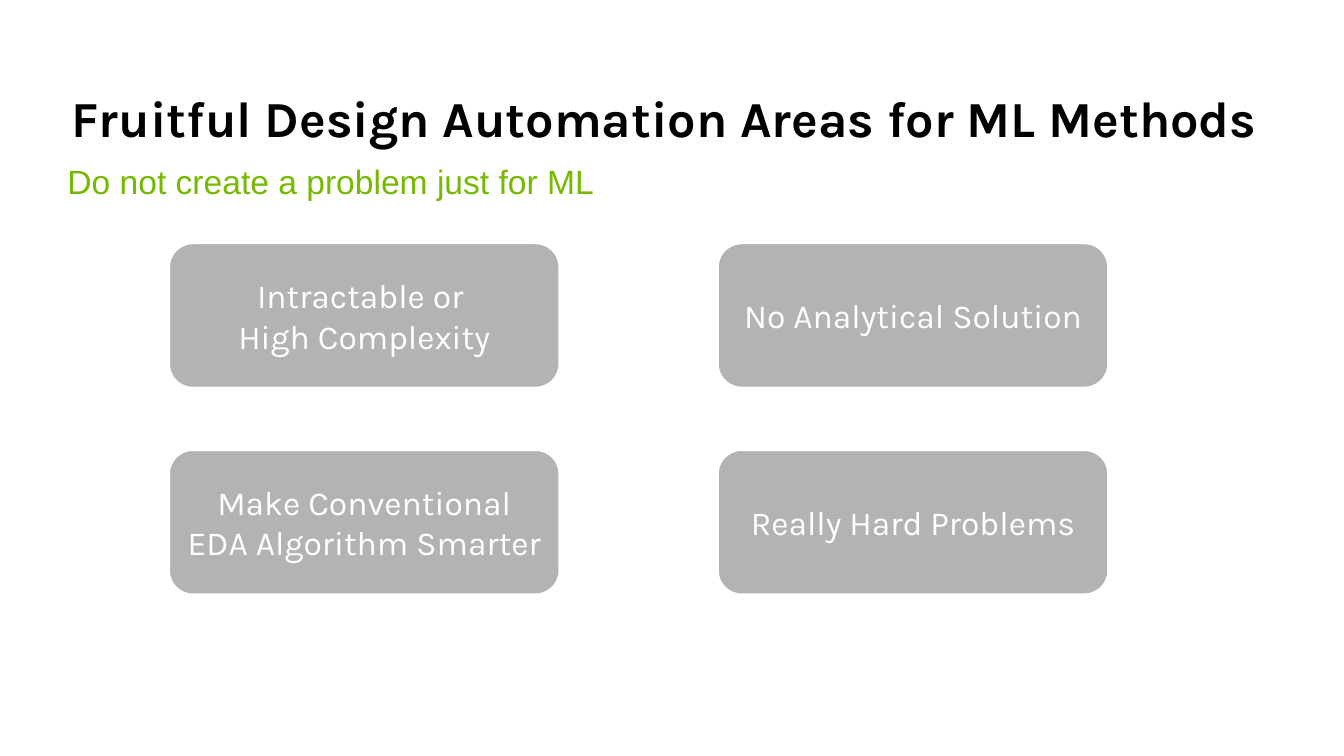
from pptx import Presentation
from pptx.dml.color import RGBColor
from pptx.enum.shapes import MSO_SHAPE
from pptx.enum.text import MSO_ANCHOR, PP_ALIGN
from pptx.util import Cm, Pt

ROUNDED = MSO_SHAPE.ROUNDED_RECTANGLE
TOP, MIDDLE, BOTTOM = MSO_ANCHOR.TOP, MSO_ANCHOR.MIDDLE, MSO_ANCHOR.BOTTOM
LEFT, CENTER = PP_ALIGN.LEFT, PP_ALIGN.CENTER

BLACK = RGBColor(0x00, 0x00, 0x00)
WHITE = RGBColor(0xFF, 0xFF, 0xFF)
GREEN = RGBColor(0x76, 0xB9, 0x00)
GRAY = RGBColor(0xB3, 0xB3, 0xB3)

# Content: a row of areas per line, each area a list of text lines
TITLE = ["Fruitful Design Automation Areas for ML Methods"]
SUBTITLE = ["Do not create a problem just for ML"]
AREAS = [
    [["Intractable or ", "High Complexity"], ["No Analytical Solution"]],
    [["Make Conventional EDA Algorithm Smarter"], ["Really Hard Problems"]],
]

# Layout in centimetres
HEADING_WIDTH = 30.78
GRID_LEFT, GRID_TOP = 4.25, 6.12
COLUMN_STEP, ROW_STEP = 13.83, 5.21
AREA_WIDTH, AREA_HEIGHT = 9.86, 3.66


def write(box, lines, font, size, color, anchor, align, bold=False, spacing=1.0):
    frame = box.text_frame
    frame.word_wrap = True
    frame.vertical_anchor = anchor
    para = frame.paragraphs[0]
    para.alignment = align
    para.line_spacing = spacing
    for index, line in enumerate(lines):
        if index:
            para.add_line_break()
        span = para.add_run()
        span.text = line
        span.font.name = font
        span.font.size = Pt(size)
        span.font.bold = bold
        span.font.color.rgb = color


deck = Presentation()
deck.slide_width, deck.slide_height = Cm(33.87), Cm(19.05)
page = deck.slides.add_slide(deck.slide_layouts[6])
page.background.fill.solid()
page.background.fill.fore_color.rgb = WHITE

# Headings
title = page.shapes.add_textbox(Cm(1.55), Cm(2.06), Cm(HEADING_WIDTH), Cm(1.8))
write(title, TITLE, "Karla", 36, BLACK, BOTTOM, LEFT, bold=True, spacing=0.9)
subtitle = page.shapes.add_textbox(Cm(1.45), Cm(4.04), Cm(HEADING_WIDTH), Cm(1.63))
write(subtitle, SUBTITLE, "Arial", 24, GREEN, TOP, LEFT, spacing=0.9)

# Grid of areas
for row, areas in enumerate(AREAS):
    for column, lines in enumerate(areas):
        area = page.shapes.add_shape(
            ROUNDED,
            Cm(GRID_LEFT + column * COLUMN_STEP), Cm(GRID_TOP + row * ROW_STEP),
            Cm(AREA_WIDTH), Cm(AREA_HEIGHT))
        area.shadow.inherit = False
        area.fill.solid()
        area.fill.fore_color.rgb = GRAY
        area.line.color.rgb = WHITE
        area.line.width = Pt(2)
        write(area, lines, "Karla", 24, WHITE, MIDDLE, CENTER)

deck.save("out.pptx")
